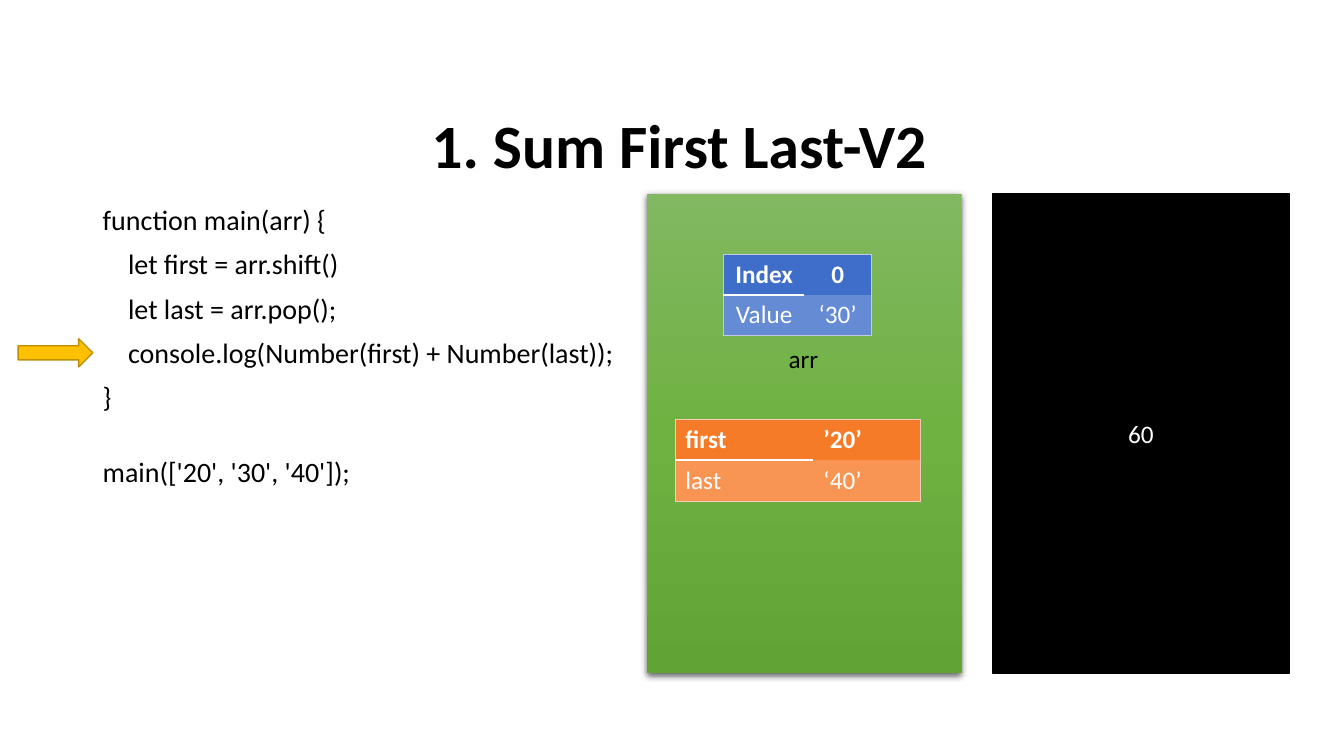
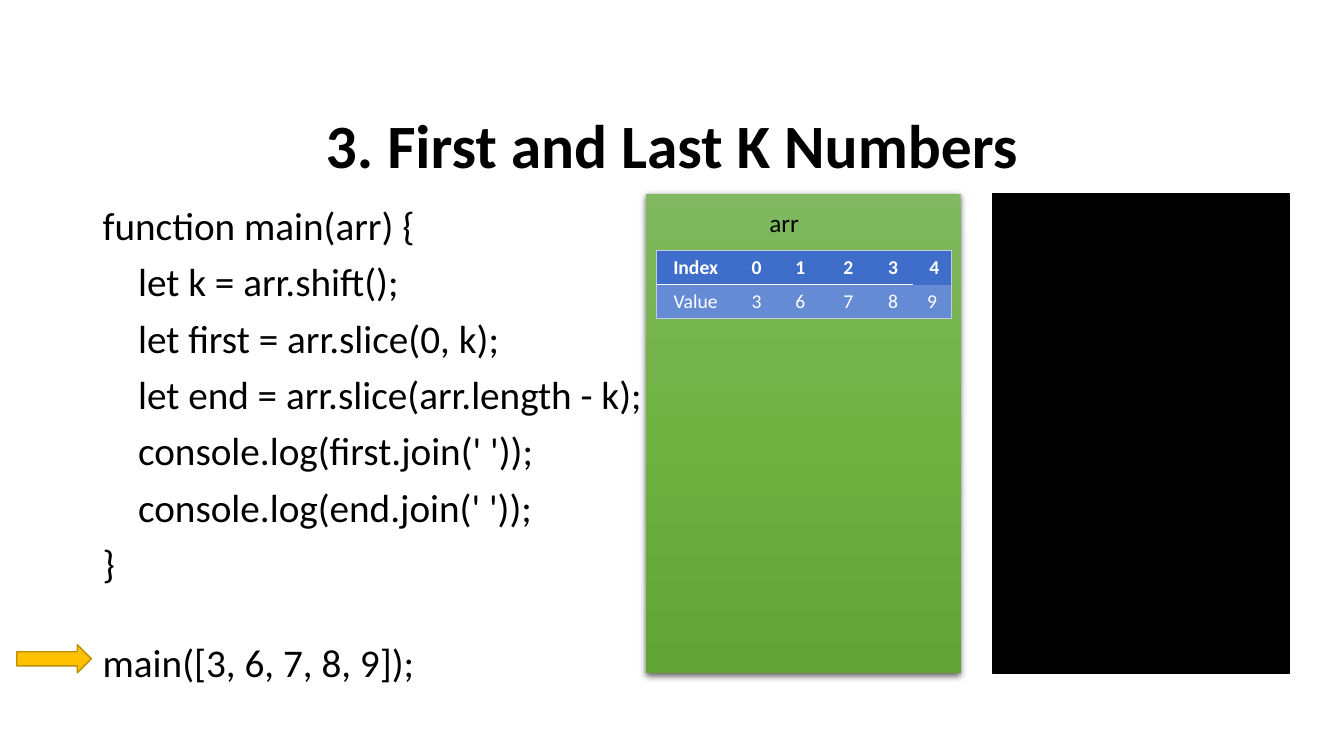
from copy import deepcopy

from lxml import etree
from pptx import Presentation
from pptx.dml.color import RGBColor
from pptx.enum.shapes import MSO_SHAPE
from pptx.enum.text import MSO_ANCHOR, PP_ALIGN
from pptx.oxml.ns import qn
from pptx.util import Pt

LEFT, CENTER = PP_ALIGN.LEFT, PP_ALIGN.CENTER
TOP, MIDDLE, BOTTOM = MSO_ANCHOR.TOP, MSO_ANCHOR.MIDDLE, MSO_ANCHOR.BOTTOM
RECTANGLE, RIGHT_ARROW = MSO_SHAPE.RECTANGLE, MSO_SHAPE.RIGHT_ARROW

FONT = "Calibri"
COLORS = {
    "black": "000000", "white": "FFFFFF",
    "panel top": "81B861", "panel middle": "6FB242", "panel bottom": "62A336",
    "arrow": "FFC000", "arrow edge": "BD8E00",
    "blue header": "3E6ECA", "blue row": "658BD5", "blue edge": "C1C9E4",
    "orange header": "F67B28", "orange row": "F89553", "orange edge": "F6CCBE",
}
RGB = {name: RGBColor.from_string(value) for name, value in COLORS.items()}

PANEL_TOP, PANEL_WIDTH, PANEL_HEIGHT = 138.24, 224.64, 342.72
CODE_SPACING = 10

SLIDES = [
    {
        "title": " 1. Sum First Last-V2",
        "code_size": 20,
        "code": ["function main(arr) {", "\tlet first = arr.shift()",
                 "\tlet last = arr.pop();",
                 "\tconsole.log(Number(first) + Number(last));", "}"],
        "call": "main(['20', '30', '40']);",
        "panel_left": 462.24,
        "arrow": (13, 241.92),
        "output": "60",
        "label": (482.4, 241.92),
        "tables": [
            {"left": 517, "top": 181.44, "theme": "blue", "size": 18,
             "align": CENTER, "columns": [57.6, 47.5],
             "rows": [["Index", "0"], ["Value", "‘30’"]]},
            {"left": 482.4, "top": 299.5, "theme": "orange", "size": 18,
             "align": LEFT, "columns": [98.64, 76.32],
             "rows": [["first", "’20’"], ["last", "‘40’"]]},
        ],
    },
    {
        "title": "3. First and Last K Numbers",
        "code_size": 28,
        "code": ["function main(arr) {", "\tlet k = arr.shift();",
                 "\tlet first = arr.slice(0, k);",
                 "\tlet end = arr.slice(arr.length - k);",
                 "\tconsole.log(first.join(' '));",
                 "\tconsole.log(end.join(' '));", "}"],
        "call": "main([3, 6, 7, 8, 9]);",
        "panel_left": 461.52,
        "arrow": (12, 460.5),
        "output": "",
        "label": (468.72, 144.72),
        "tables": [
            {"left": 468.72, "top": 179, "theme": "blue", "size": 14,
             "align": CENTER, "columns": [56.5, 30.3, 32.4, 36, 28, 28],
             "rows": [["Index", "0", "1", "2", "3", " 4"],
                      ["Value", "3", "6", "7", "8", "9"]]},
        ],
    },
]


def write(frame, text, size=18, color="black", bold=False, align=LEFT,
          anchor=TOP, indent=0, before=0, spacing=1.0):
    """Add one formatted paragraph, filling the first one if it is empty."""
    frame.word_wrap = True
    frame.vertical_anchor = anchor
    first = frame.paragraphs[0]
    paragraph = frame.add_paragraph() if first.runs else first
    paragraph.alignment = align
    paragraph.space_before = Pt(before)
    paragraph.line_spacing = spacing
    if indent:
        paragraph._p.get_or_add_pPr().set("marL", str(Pt(indent)))
    run = paragraph.add_run()
    run.text = text
    run.font.name = FONT
    run.font.size = Pt(size)
    run.font.bold = bold
    run.font.color.rgb = RGB[color]


def add_table(slide, left, top, theme, size, align, columns, rows):
    """Draw a two-row table with an outline and a white rule under its header."""
    row_height = round(size * 1.22 + 7.2, 2)
    table = slide.shapes.add_table(
        len(rows), len(columns), Pt(left), Pt(top),
        Pt(sum(columns)), Pt(row_height * len(rows))).table
    for column, width in zip(table.columns, columns):
        column.width = Pt(width)
    for row in table.rows:
        row.height = Pt(row_height)
    last = len(columns) - 1
    edge = (f"{theme} edge", 0.5)
    for r, texts in enumerate(rows):
        header = r == 0
        for c, text in enumerate(texts):
            cell = table.cell(r, c)
            write(cell.text_frame, text, size=size, color="white",
                  bold=header, align=align)
            rule = ("white", 1.5) if c < last else None
            borders = {
                "a:lnL": edge if c == 0 else None,
                "a:lnR": edge if c == last else None,
                "a:lnT": edge if header else rule,
                "a:lnB": rule if header else edge,
            }
            properties = cell._tc.get_or_add_tcPr()
            for tag, border in borders.items():
                line = etree.SubElement(properties, qn(tag))
                if border:
                    color, width = border
                    line.set("w", str(Pt(width)))
                    fill = etree.SubElement(line, qn("a:solidFill"))
                    etree.SubElement(fill, qn("a:srgbClr"), val=COLORS[color])
                else:
                    etree.SubElement(line, qn("a:noFill"))
            cell.fill.solid()
            cell.fill.fore_color.rgb = RGB[f"{theme} {'header' if header else 'row'}"]


presentation = Presentation()
presentation.slide_width, presentation.slide_height = Pt(960), Pt(540)

for content in SLIDES:
    slide = presentation.slides.add_slide(presentation.slide_layouts[6])
    shapes = slide.shapes

    # Memory panel with gradient and soft shadow
    panel = shapes.add_shape(RECTANGLE, Pt(content["panel_left"]), Pt(PANEL_TOP),
                             Pt(PANEL_WIDTH), Pt(PANEL_HEIGHT))
    panel.fill.gradient()
    panel.fill.gradient_angle = 270
    stop_list = panel._element.spPr.find(".//" + qn("a:gsLst"))
    stop_list.append(deepcopy(stop_list[-1]))
    for index, name in enumerate(["panel top", "panel middle", "panel bottom"]):
        stop = panel.fill.gradient_stops[index]
        stop.position = index / 2
        stop.color.rgb = RGB[name]
    panel.line.fill.background()
    panel.shadow.inherit = False
    effects = panel._element.spPr.find(qn("a:effectLst"))
    shadow = etree.SubElement(effects, qn("a:outerShdw"), blurRad=str(Pt(4.5)),
                              dist=str(Pt(1.5)), dir="5400000", algn="ctr",
                              rotWithShape="0")
    shadow_color = etree.SubElement(shadow, qn("a:srgbClr"), val=COLORS["black"])
    etree.SubElement(shadow_color, qn("a:alpha"), val="63000")

    # Title
    title = shapes.add_textbox(Pt(66.24), Pt(28.8), Pt(828), Pt(104.4))
    write(title.text_frame, content["title"], size=44, bold=True, align=CENTER,
          anchor=BOTTOM, spacing=0.9)

    # Code, with the call set apart by one line
    size = content["code_size"]
    code = shapes.add_textbox(Pt(66.24), Pt(144), Pt(417), Pt(PANEL_HEIGHT))
    for number, line in enumerate(content["code"]):
        write(code.text_frame, line.strip(), size=size, spacing=0.9,
              before=CODE_SPACING if number else 0,
              indent=round(size * 0.905, 1) if line.startswith("\t") else 0)
    write(code.text_frame, content["call"], size=size, spacing=0.9,
          before=round(CODE_SPACING + size * 1.1, 1))

    # Arrow at the current line
    arrow_left, arrow_top = content["arrow"]
    arrow = shapes.add_shape(RIGHT_ARROW, Pt(arrow_left), Pt(arrow_top),
                             Pt(53.28), Pt(20.16))

    # Console
    console = shapes.add_shape(RECTANGLE, Pt(709.2), Pt(PANEL_TOP),
                               Pt(211.68), Pt(PANEL_HEIGHT))
    for shape, fill, line in [(arrow, "arrow", "arrow edge"),
                              (console, "black", "black")]:
        shape.shadow.inherit = False
        shape.fill.solid()
        shape.fill.fore_color.rgb = RGB[fill]
        shape.line.color.rgb = RGB[line]
        shape.line.width = Pt(1)
    if content["output"]:
        write(console.text_frame, content["output"], color="white",
              align=CENTER, anchor=MIDDLE)

    # Array label and variable tables
    label_left, label_top = content["label"]
    label = shapes.add_textbox(Pt(label_left), Pt(label_top), Pt(182.88), Pt(28.8))
    write(label.text_frame, "arr", align=CENTER)
    for table in content["tables"]:
        add_table(slide, **table)

presentation.save("out.pptx")
